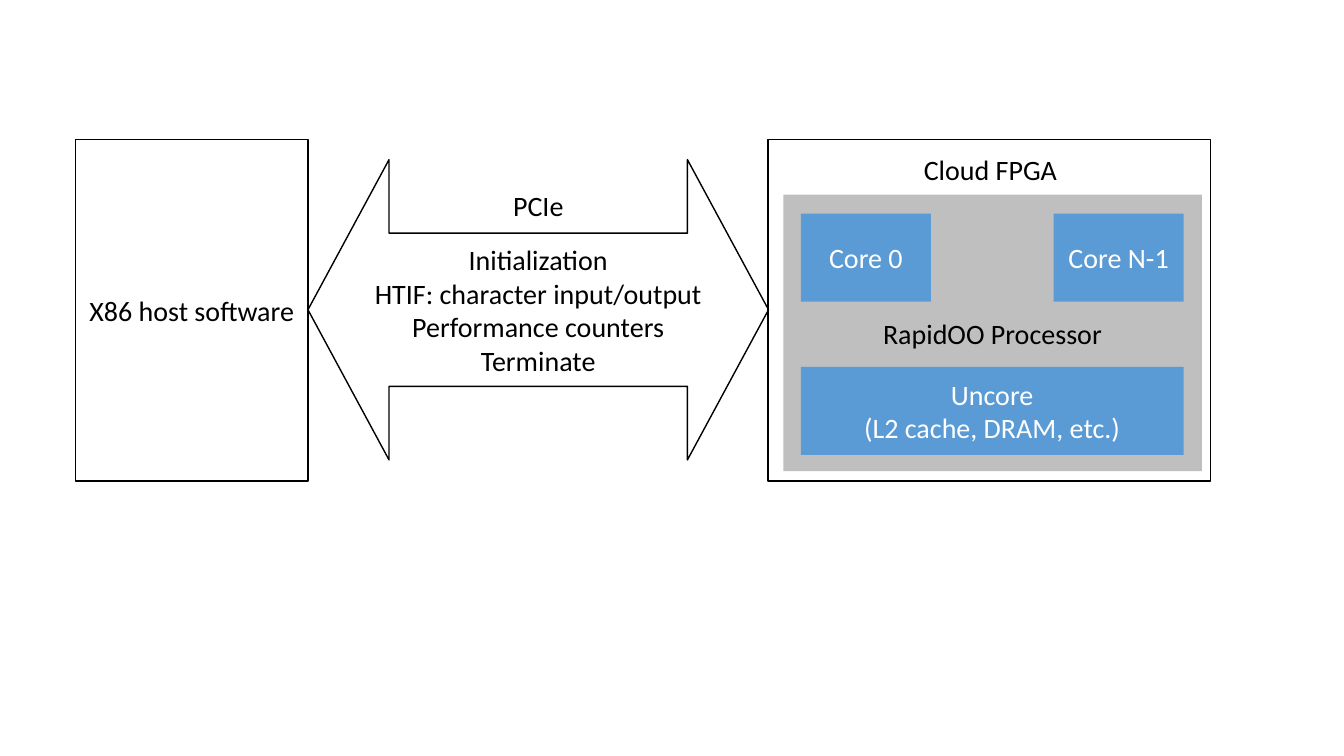
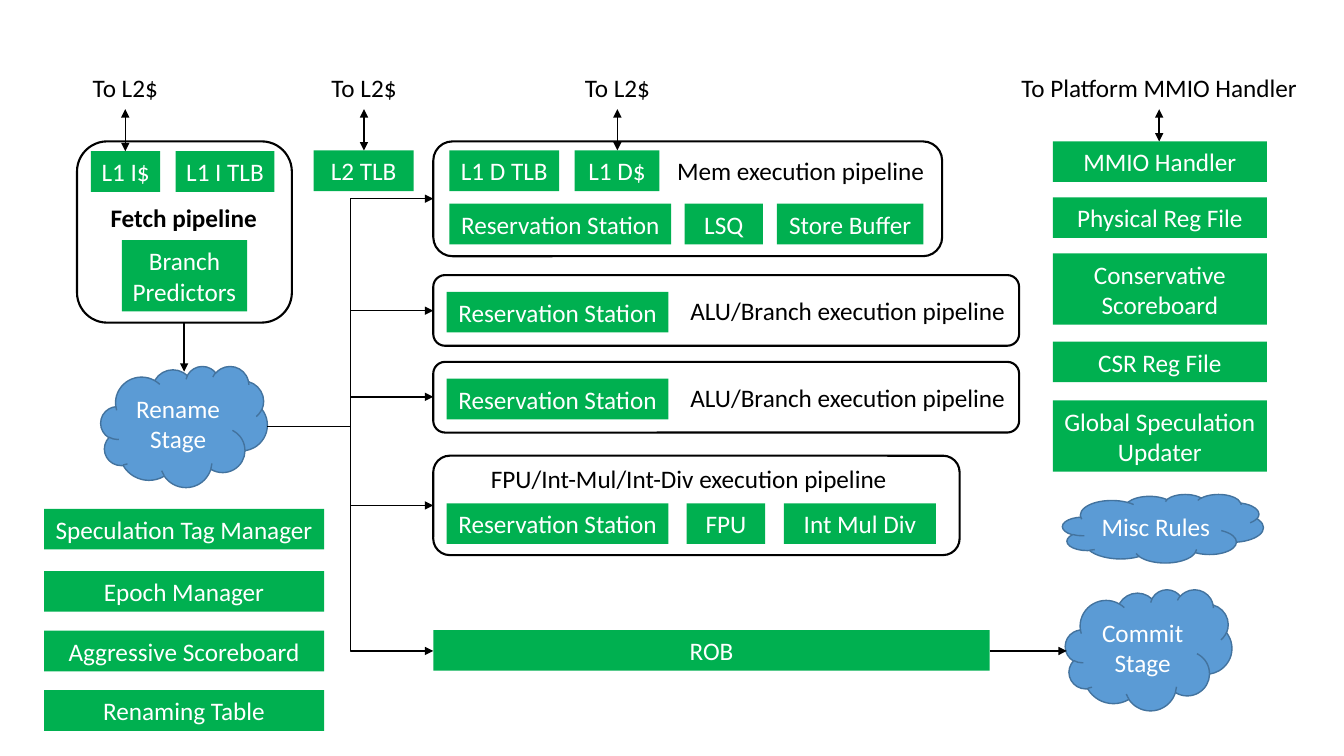
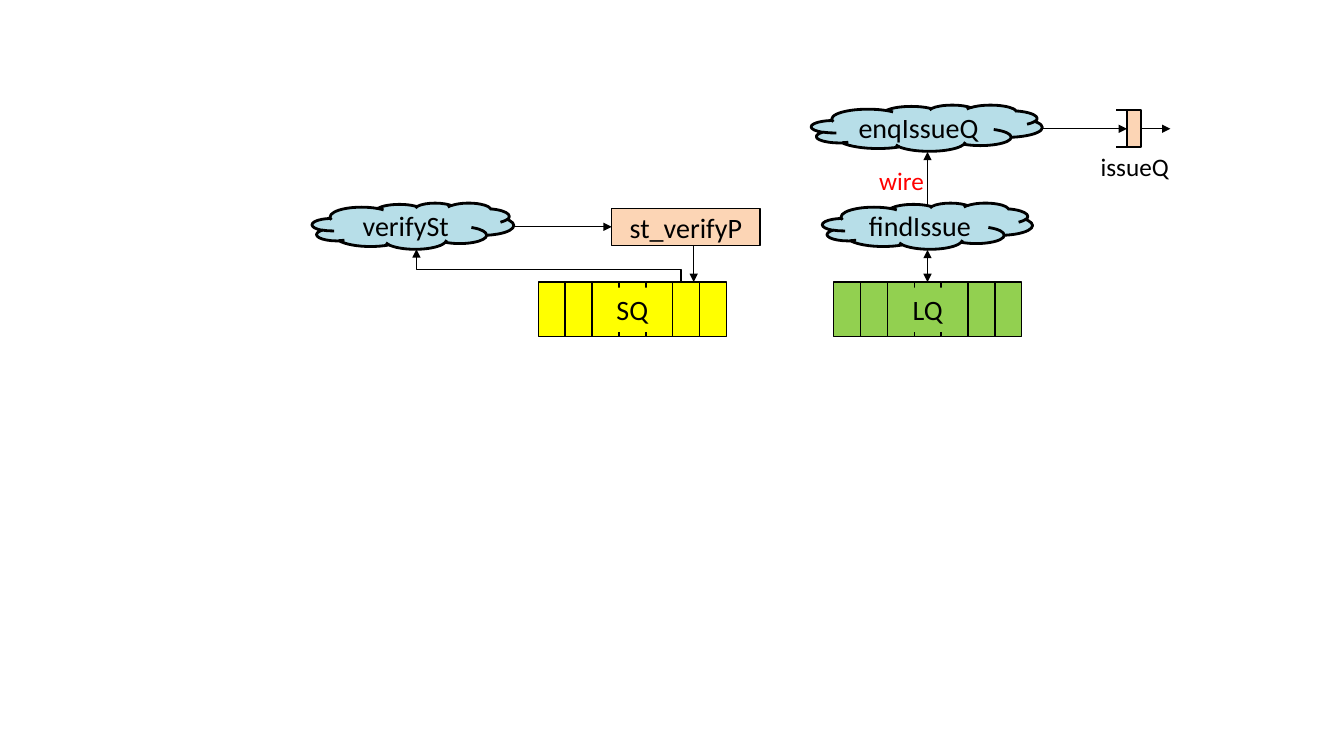
from lxml import etree
from pptx import Presentation
from pptx.dml.color import RGBColor
from pptx.enum.shapes import MSO_CONNECTOR, MSO_SHAPE
from pptx.enum.text import MSO_ANCHOR, PP_ALIGN
from pptx.oxml.ns import qn
from pptx.util import Pt

RECT = MSO_SHAPE.RECTANGLE
ROUND = MSO_SHAPE.ROUNDED_RECTANGLE
CLOUD = MSO_SHAPE.CLOUD
ARROW = MSO_SHAPE.LEFT_RIGHT_ARROW
LINE = MSO_CONNECTOR.STRAIGHT
ELBOW = MSO_CONNECTOR.ELBOW
LEFT = PP_ALIGN.LEFT
CENTER = PP_ALIGN.CENTER
MIDDLE = MSO_ANCHOR.MIDDLE

FONT = "Calibri"
COLORS = {
    "black": "000000", "white": "FFFFFF", "gray": "BFBFBF",
    "blue": "5B9BD5", "navy": "43739E", "green": "00B050",
    "lime": "92D050", "yellow": "FFFF00", "sky": "B7DEE8",
    "peach": "FCD5B5", "red": "FF0000",
}


def color(name):
    return RGBColor.from_string(COLORS[name])


def write(frame, text, size=18, ink="black", bold=False, align=CENTER, wrap=False):
    frame.word_wrap = wrap
    frame.vertical_anchor = MIDDLE
    frame.text = text
    for para in frame.paragraphs:
        para.alignment = align
        font = para.font
        font.name, font.size, font.bold = FONT, Pt(size), bold
        font.color.rgb = color(ink)


class Deck:
    """Hold the presentation, the current slide and the drawing style."""

    def __init__(self):
        self.file = Presentation()
        self.file.slide_width, self.file.slide_height = Pt(960), Pt(540)
        self.size = 18

    def page(self, size):
        self.size = size
        self.slide = self.file.slides.add_slide(self.file.slide_layouts[6])

    def paint(self, shape, fill, line, width):
        shape.shadow.inherit = False
        if fill:
            shape.fill.solid()
            shape.fill.fore_color.rgb = color(fill)
        else:
            shape.fill.background()
        if line:
            shape.line.color.rgb = color(line)
            shape.line.width = Pt(width)
        else:
            shape.line.fill.background()

    def shape(self, kind, box, text="", fill=None, line=None, width=1, **style):
        shape = self.slide.shapes.add_shape(kind, *map(Pt, box))
        self.paint(shape, fill, line, width)
        if text:
            write(shape.text_frame, text, **{"size": self.size, **style})
        return shape

    def label(self, box, text, **style):
        frame = self.slide.shapes.add_textbox(*map(Pt, box)).text_frame
        write(frame, text, **{"size": self.size, **style})

    def block(self, x, y, w, text, h=29, **style):
        self.shape(RECT, (x, y, w, h), text, "green", ink="white", **style)

    def frame(self, *box):
        self.shape(ROUND, box, line="black", width=1.5)

    def tips(self, shape, *ends):
        ln = shape.element.spPr.find(qn("a:ln"))
        for end in ends:
            etree.SubElement(ln, qn(f"a:{end}End"), type="triangle")

    def link(self, x1, y1, x2, y2, ends=("tail",), kind=LINE, width=1):
        link = self.slide.shapes.add_connector(kind, *map(Pt, (x1, y1, x2, y2)))
        link.line.color.rgb = color("black")
        link.line.width = Pt(width)
        self.tips(link, *ends)
        etree.SubElement(link.element.spPr, qn("a:effectLst"))

    def route(self, start, *points):
        build = self.slide.shapes.build_freeform(*map(Pt, start))
        build.add_line_segments([(Pt(x), Pt(y)) for x, y in points], close=False)
        shape = build.convert_to_shape()
        self.paint(shape, None, "black", 1)
        self.tips(shape, "tail")

    def queue(self, x, y, text, fill):
        cell, high, wide = 19.2, 39, 36
        for i in range(7):
            self.shape(RECT, (x + i * cell, y, cell, high), fill=fill, line="black")
        mid = x + 3.5 * cell
        self.shape(RECT, (mid - wide / 2, y + 4, wide, 31.5), text, fill)


def host(deck):
    deck.page(20)
    deck.shape(RECT, (559.5, 139, 299, 197.5), "RapidOO Processor", "gray")
    deck.shape(RECT, (54, 99.5, 166, 244), "X86 host software", "white", "black")
    deck.shape(RECT, (548.5, 99.5, 316, 244), line="black")
    for x, y, w, text in (
        (572, 152.5, 93, "Core 0"),
        (752.5, 152.5, 93, "Core N-1"),
        (572, 262, 273.5, "Uncore\n(L2 cache, DRAM, etc.)"),
    ):
        deck.shape(RECT, (x, y, w, 63), text, "blue", ink="white")
    deck.label((642.5, 105, 130, 32), "Cloud FPGA")
    tasks = ("Initialization", "HTIF: character input/output",
             "Performance counters", "Terminate")
    arrow = deck.shape(ARROW, (220, 114, 329, 214.5), "\n".join(tasks), line="black")
    arrow.adjustments[0], arrow.adjustments[1] = 0.51, 0.27
    deck.label((359, 131, 51, 32), "PCIe")


def core(deck):
    deck.page(18)
    left, tall = 309.5, 51
    station = "Reservation Station"

    deck.frame(55, 101, 153.5, 129.5)
    deck.block(65, 108, 49.5, "L1 I$")
    deck.block(125.5, 108, 70.5, "L1 I TLB")
    deck.block(87, 171.5, 89.5, "Branch\nPredictors", tall)
    deck.label((71.5, 141, 119.5, 29), "Fetch pipeline", bold=True)
    deck.block(224, 107.5, 71.5, "L2 TLB")

    deck.frame(left, 101, 363.5, 82)
    for x, y, w, text in (
        (321, 107.5, 78.5, "L1 D TLB"), (410.5, 107.5, 60.5, "L1 D$"),
        (321, 145.5, 158.5, station), (489, 145.5, 56, "LSQ"),
        (555, 145.5, 104.5, "Store Buffer"),
    ):
        deck.block(x, y, w, text)
    deck.label((476.5, 107.5, 192, 29), "Mem execution pipeline", align=LEFT, wrap=True)

    for y in (196.5, 258.5):
        deck.frame(left, y, 418.5, 50.5)
        deck.block(319, y + 12, 158.5, station)
        deck.label((486, y + 10.5, 242, 29), "ALU/Branch execution pipeline",
                   align=LEFT, wrap=True)

    deck.frame(left, 325.5, 376, 71)
    for x, w, text in ((319, 158.5, station), (490.5, 56, "FPU"),
                       (560, 108.5, "Int Mul Div")):
        deck.block(x, 359.5, w, text)
    deck.label((343.5, 327.5, 309, 29), "FPU/Int-Mul/Int-Div execution pipeline",
               align=LEFT, wrap=True)
    deck.block(left, 450, 397.5, "ROB")

    for y, text in ((363.5, "Speculation Tag Manager"), (408, "Epoch Manager"),
                    (450.5, "Aggressive Scoreboard"), (493, "Renaming Table")):
        deck.block(31.5, y, 200, text)
    for y, h, text in (
        (101, 29, "MMIO Handler"), (141, 29, "Physical Reg File"),
        (181, tall, "Conservative\nScoreboard"), (244, 29, "CSR Reg File"),
        (286, tall, "Global Speculation Updater"),
    ):
        deck.block(752, y, 153, text, h, wrap=True)

    for x, y, w, h, text in (
        (72, 261.5, 119, 86.5, "Rename\nStage"),
        (761, 421, 119, 86.5, "Commit\nStage"),
        (759, 353, 143.5, 49, "Misc Rules"),
    ):
        deck.shape(CLOUD, (x, y, w, h), text, "blue", "navy", ink="white")

    for y in (142, 222, 283.5, 361, 465):
        deck.link(191, 304.5, left, y, kind=ELBOW)
    deck.link(131.5, 230.5, 131.5, 265.5)
    deck.link(707, 465, 762, 465)

    for x, y, w, text in (
        (89.5, 108, 62, "To L2$"), (260, 107.5, 62, "To L2$"),
        (441, 107.5, 62, "To L2$"), (828, 101, 214, "To Platform MMIO Handler"),
    ):
        deck.label((x - w / 2, 48, w, 29), text)
        deck.link(x, y, x, 78, ("head", "tail"))


def issue(deck):
    deck.page(20)
    top, mid = 201.5, 662.5
    deck.queue(595.5, top, "LQ", "lime")
    deck.queue(384.5, top, "SQ", "yellow")
    for x, y, w, text in ((587.5, 145, 150, "findIssue"), (223, 145, 144, "verifySt"),
                          (579.5, 75, 165, "enqIssueQ")):
        deck.shape(CLOUD, (x, y, w, 33), text, "sky", "black", 2)
    deck.shape(RECT, (437, 149, 106, 26.5), "st_verifyP", "peach", "black")

    deck.shape(RECT, (805, 78.5, 10, 26.5), fill="peach", line="black", width=1.5)
    for y in (78.5, 105):
        deck.link(810, y, 797, y, (), width=1.5)
    deck.label((778.5, 104.5, 64, 29), "issueQ", size=18)
    deck.label((620.5, 114, 47, 29), "wire", size=18, ink="red")

    deck.link(744.5, 92, 805, 92)
    deck.link(815, 92, 836, 92)
    deck.link(mid, 178.5, mid, top, ("head", "tail"))
    deck.link(mid, 147, mid, 108.5)
    deck.link(367, 162, 437, 162)
    deck.link(495.5, 175, 495.5, top)
    deck.route((486.5, top), (486.5, 192.5), (297.5, 192.5), (297.5, 178))


deck = Deck()
for draw in (host, core, issue):
    draw(deck)
deck.file.save("out.pptx")
